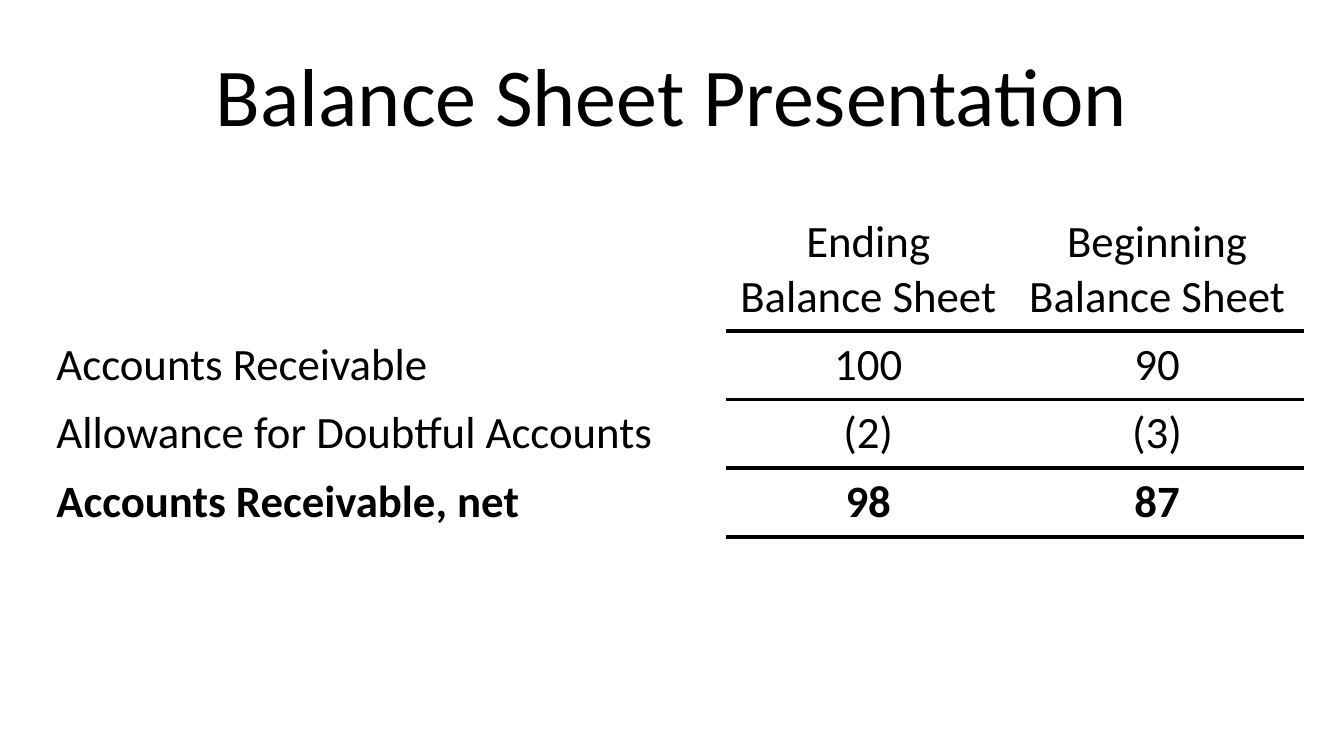
from lxml import etree
from pptx import Presentation
from pptx.dml.color import RGBColor
from pptx.enum.text import MSO_ANCHOR, PP_ALIGN
from pptx.oxml.ns import qn
from pptx.util import Inches, Pt

BLACK = "000000"
FONT = "Calibri"
NO_STYLE = "{2D5ABB26-0587-4C30-8999-92F81FD0307C}"
RULE_WIDTH = Pt(2.25)

COL_WIDTHS = [5.08, 2.12, 2.18]
ROW_HEIGHTS = [0.91, 0.51, 0.51, 0.51, 0.46]
ROWS = [
    ["", "Ending Balance Sheet", "Beginning Balance Sheet"],
    ["Accounts Receivable", "100", "90"],
    ["Allowance for Doubtful Accounts", "(2)", "(3)"],
    ["Accounts Receivable, net", "98", "87"],
    ["", "", ""],
]
NET_ROW = 3


def rgb(color):
    return RGBColor.from_string(color)


def format_paragraph(p, size, align, bold=False):
    p.alignment = align
    p.font.name = FONT
    p.font.size = Pt(size)
    p.font.bold = bold
    p.font.color.rgb = rgb(BLACK)


def add_title(slide, text):
    title = slide.shapes.title
    title.left, title.top = Inches(0.5), Inches(0.23)
    title.width, title.height = Inches(9), Inches(0.94)
    tf = title.text_frame
    tf.text = text
    tf.word_wrap = True
    tf.vertical_anchor = MSO_ANCHOR.MIDDLE
    format_paragraph(tf.paragraphs[0], 44, PP_ALIGN.CENTER)


def add_border(cell, side):
    """Draw a black rule on one side of a cell: "T" or "B"."""
    tc_pr = cell._tc.get_or_add_tcPr()
    ln = etree.SubElement(tc_pr, qn(f"a:ln{side}"), w=str(RULE_WIDTH))
    fill = etree.SubElement(ln, qn("a:solidFill"))
    etree.SubElement(fill, qn("a:srgbClr"), val=BLACK)


def add_balance_table(slide):
    frame = slide.shapes.add_table(
        len(ROWS), len(COL_WIDTHS), Inches(0.32), Inches(1.55),
        Inches(sum(COL_WIDTHS)), Inches(sum(ROW_HEIGHTS)))
    table = frame.table
    table.first_row = table.horz_banding = False
    table._tbl.tblPr.find(qn("a:tableStyleId")).text = NO_STYLE

    for column, width in zip(table.columns, COL_WIDTHS):
        column.width = Inches(width)
    for row, height in zip(table.rows, ROW_HEIGHTS):
        row.height = Inches(height)

    for i, texts in enumerate(ROWS):
        for j, text in enumerate(texts):
            cell = table.cell(i, j)
            # Rules separate the rows of the value columns only
            if j > 0 and i > 0:
                add_border(cell, "T")
            if j > 0 and i < len(ROWS) - 1:
                add_border(cell, "B")
            cell.fill.background()
            if text:
                cell.text = text
                align = PP_ALIGN.CENTER if j else PP_ALIGN.LEFT
                format_paragraph(cell.text_frame.paragraphs[0], 24, align,
                                 bold=i == NET_ROW)

    # The net label spans the closing row
    table.cell(NET_ROW, 0).merge(table.cell(NET_ROW + 1, 0))


def main():
    prs = Presentation()
    # Widescreen, 16:9
    prs.slide_width = Inches(10)
    prs.slide_height = prs.slide_width * 9 // 16
    slide = prs.slides.add_slide(prs.slide_layouts[5])
    add_title(slide, "Balance Sheet Presentation")
    add_balance_table(slide)
    prs.save("out.pptx")


if __name__ == "__main__":
    main()
